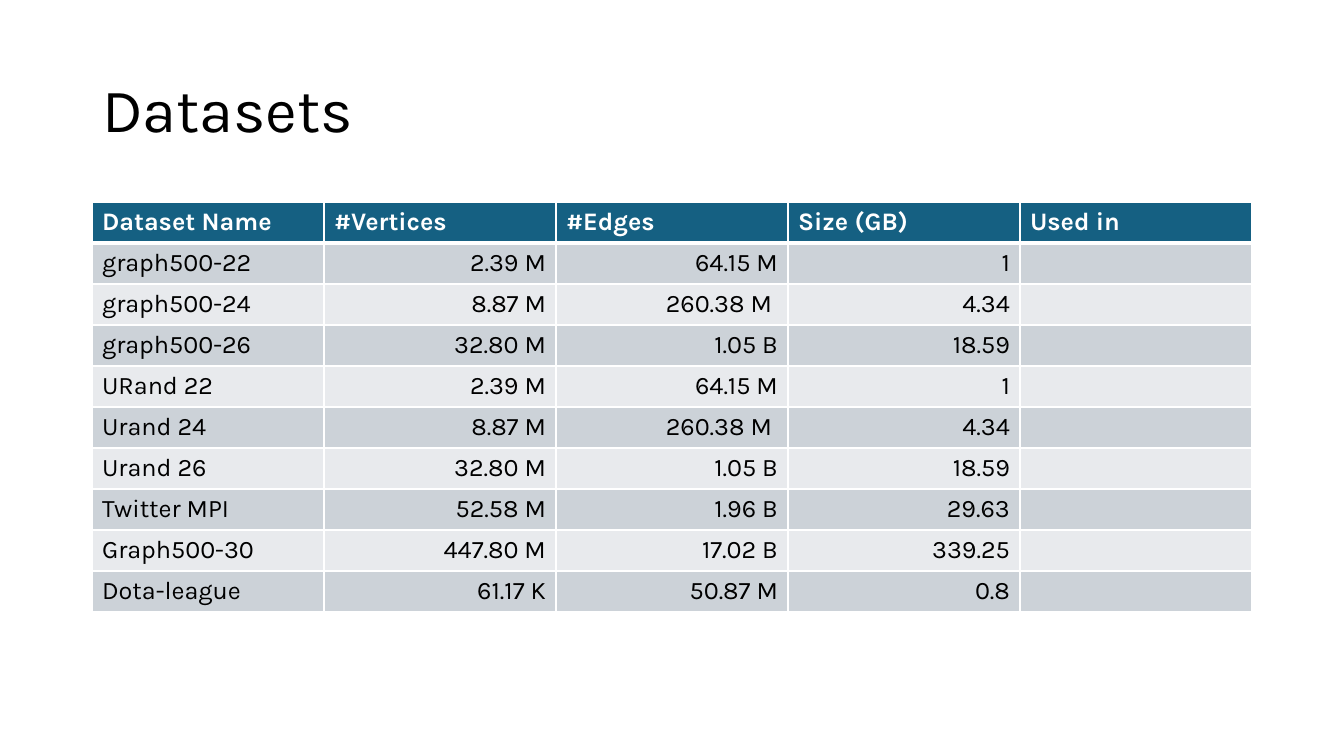
from lxml import etree
from pptx import Presentation
from pptx import util as u
from pptx.dml.color import RGBColor
from pptx.enum import text
from pptx.oxml.ns import qn

TITLE = "Datasets"
HEADINGS = ("Dataset Name", "#Vertices", "#Edges", "Size (GB)", "Used in")
DATASETS = [
    ("graph500-22", "2.39 M", "64.15 M", "1", ""),
    ("graph500-24", "8.87 M", "260.38 M ", "4.34", ""),
    ("graph500-26", "32.80 M", "1.05 B", "18.59", ""),
    ("URand 22", "2.39 M", "64.15 M", "1", ""),
    ("Urand 24", "8.87 M", "260.38 M ", "4.34", ""),
    ("Urand 26", "32.80 M", "1.05 B", "18.59", ""),
    ("Twitter MPI", "52.58 M", "1.96 B", "29.63", ""),
    ("Graph500-30", "447.80 M", "17.02 B", "339.25", ""),
    ("Dota-league", "61.17 K", "50.87 M", "0.8", ""),
]
FONT = "Karla"
BLACK, WHITE = "000000", "FFFFFF"
HEADER_FILL, BAND_FILLS = "156082", ("CCD2D8", "E8EAED")
SLIDE_W, SLIDE_H = 1344, 756
LEFT, TITLE_TOP, TITLE_H = 92, 40, 146
TABLE_TOP, COLUMN_W, ROW_H = 202, 232, 41


def px(length):
    return u.Emu(round(length * 914400 / 100.8))


def rgb(color):
    return RGBColor.from_string(color)


def style(paragraph, size, color, bold=False):
    font = paragraph.font
    for run in paragraph.runs:
        font = run.font
        font.name, font.size, font.bold = FONT, u.Pt(size), bold
        font.color.rgb = rgb(color)


def add_borders(cell, top, bottom):
    """Draw white cell edges; top and bottom are widths in points."""
    edges = (("a:lnL", 1), ("a:lnR", 1), ("a:lnT", top), ("a:lnB", bottom))
    properties = cell._tc.get_or_add_tcPr()
    for place, (tag, width) in enumerate(edges):
        line = etree.Element(qn(tag), w=str(u.Pt(width)))
        solid = etree.SubElement(line, qn("a:solidFill"))
        etree.SubElement(solid, qn("a:srgbClr"), val=WHITE)
        properties.insert(place, line)


def add_title(slide):
    title = slide.shapes.title
    title.left, title.top = px(LEFT), px(TITLE_TOP)
    title.width, title.height = px(COLUMN_W * len(HEADINGS)), px(TITLE_H)
    frame = title.text_frame
    frame.text = TITLE
    frame.auto_size = text.MSO_AUTO_SIZE.NONE
    frame.vertical_anchor = text.MSO_ANCHOR.MIDDLE
    heading = frame.paragraphs[0]
    heading.alignment = text.PP_ALIGN.LEFT
    heading.line_spacing = 0.9
    style(heading, 44, BLACK)


def add_datasets(slide):
    rows = [HEADINGS, *DATASETS]
    table = slide.shapes.add_table(
        len(rows), len(HEADINGS), px(LEFT), px(TABLE_TOP),
        px(COLUMN_W * len(HEADINGS)), px(ROW_H * len(rows))).table
    for column in table.columns:
        column.width = px(COLUMN_W)
    for r, values in enumerate(rows):
        table.rows[r].height = px(ROW_H)
        header = r == 0
        for c, value in enumerate(values):
            cell = table.cell(r, c)
            cell.fill.solid()
            cell.fill.fore_color.rgb = rgb(HEADER_FILL if header else BAND_FILLS[(r - 1) % 2])
            add_borders(cell, top=3 if r == 1 else 1, bottom=3 if header else 1)
            cell.text_frame.text = value
            entry = cell.text_frame.paragraphs[0]
            if value and c and not header:
                entry.alignment = text.PP_ALIGN.RIGHT
            style(entry, 18, WHITE if header else BLACK, bold=header)


def main():
    deck = Presentation()
    deck.slide_width, deck.slide_height = px(SLIDE_W), px(SLIDE_H)
    slide = deck.slides.add_slide(deck.slide_layouts[5])
    add_title(slide)
    add_datasets(slide)
    deck.save("out.pptx")


if __name__ == "__main__":
    main()
